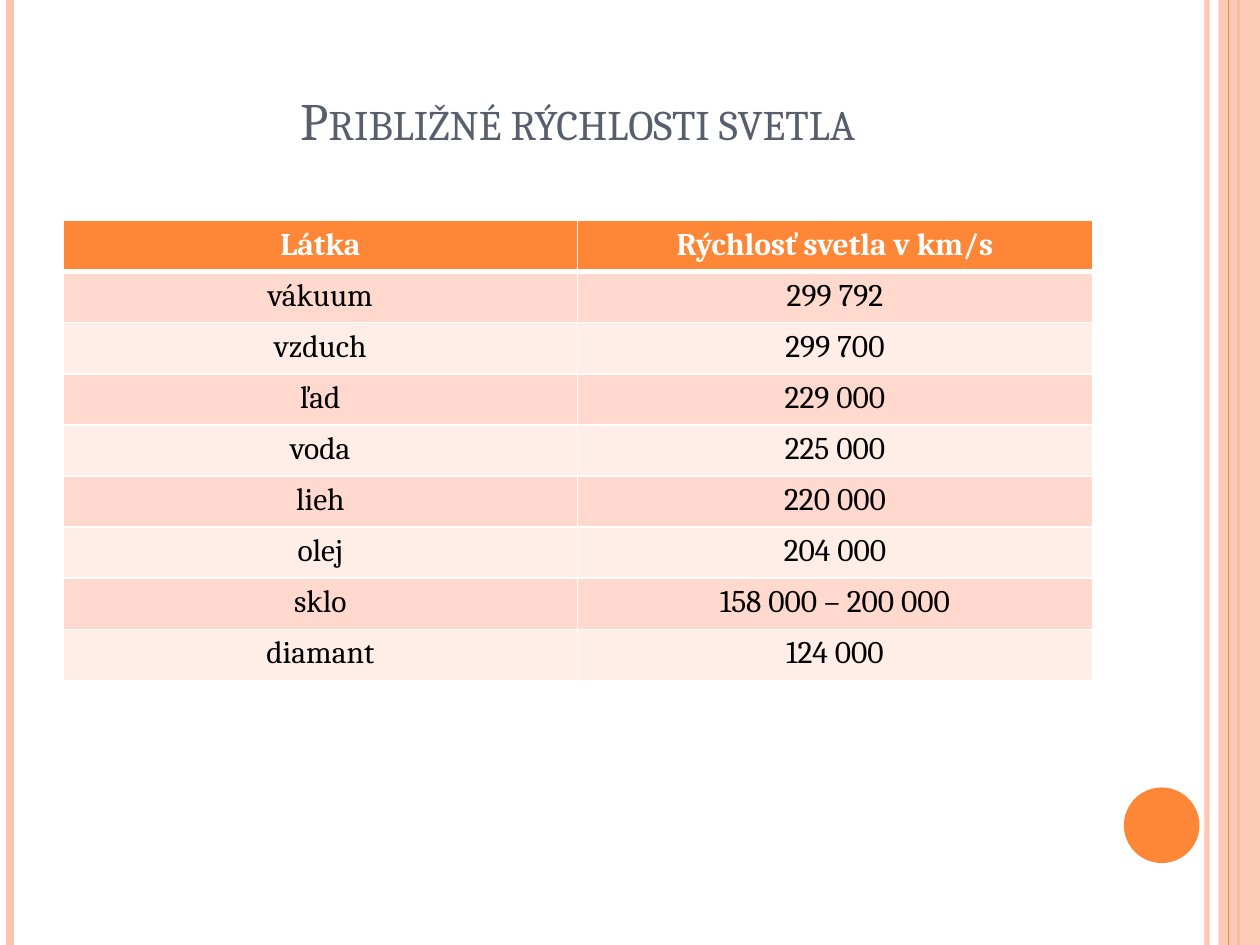
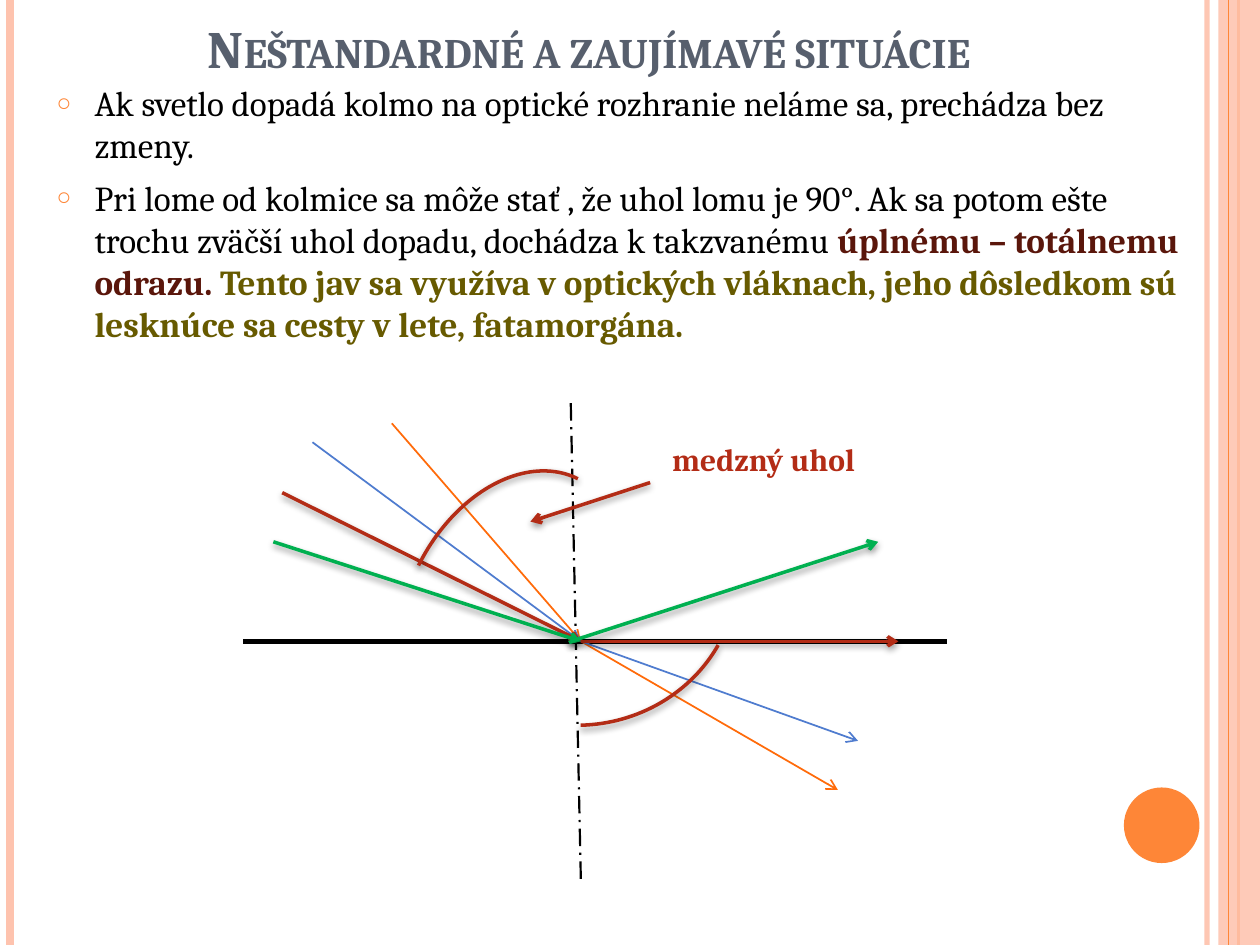
from lxml import etree
from pptx import Presentation
from pptx.dml.color import RGBColor
from pptx.enum.dml import MSO_LINE
from pptx.enum.shapes import MSO_CONNECTOR, MSO_SHAPE
from pptx.enum.text import MSO_ANCHOR, MSO_AUTO_SIZE, PP_ALIGN
from pptx.oxml.ns import qn
from pptx.util import Inches, Pt

STRAIGHT = MSO_CONNECTOR.STRAIGHT
RECTANGLE, OVAL, ARC = MSO_SHAPE.RECTANGLE, MSO_SHAPE.OVAL, MSO_SHAPE.ARC
DASH_DOT = MSO_LINE.LONG_DASH_DOT
BOTTOM, TOP = MSO_ANCHOR.BOTTOM, MSO_ANCHOR.TOP
CENTER, LEFT = PP_ALIGN.CENTER, PP_ALIGN.LEFT
NO_FIT, GROW = MSO_AUTO_SIZE.NONE, MSO_AUTO_SIZE.SHAPE_TO_FIT_TEXT

FONT = "Cambria"
WHITE = RGBColor(0xFF, 0xFF, 0xFF)
BLACK = RGBColor(0x00, 0x00, 0x00)
SLATE = RGBColor(0x57, 0x5F, 0x6D)
ORANGE = RGBColor(0xFE, 0x86, 0x37)
PEACH = RGBColor(0xFE, 0xC3, 0xAE)
ROW_DARK = RGBColor(0xFF, 0xD9, 0xCE)
ROW_LIGHT = RGBColor(0xFF, 0xED, 0xE8)
MAROON = RGBColor(0x5A, 0x16, 0x0B)
OLIVE = RGBColor(0x67, 0x5A, 0x00)
RED = RGBColor(0xB3, 0x2C, 0x16)
GREEN = RGBColor(0x00, 0xB0, 0x50)
BLUE = RGBColor(0x4F, 0x7C, 0xCF)
RAY_ORANGE = RGBColor(0xFF, 0x6B, 0x0A)

SPEEDS = [
    ("Látka", "Rýchlosť svetla v km/s"),
    ("vákuum", "299 792"),
    ("vzduch", "299 700"),
    ("ľad", "229 000"),
    ("voda", "225 000"),
    ("lieh", "220 000"),
    ("olej", "204 000"),
    ("sklo", "158 000 – 200 000"),
    ("diamant", "124 000"),
]

SITUATIONS = [
    [("Ak svetlo dopadá kolmo na optické rozhranie neláme sa, prechádza bez zmeny.", BLACK, False)],
    [("Pri lome od kolmice sa môže stať , že uhol lomu je 90°. Ak sa potom ešte "
      "trochu zväčší uhol dopadu, dochádza k takzvanému ", BLACK, False),
     ("úplnému – totálnemu odrazu. ", MAROON, True),
     ("Tento jav sa využíva v optických vláknach, jeho dôsledkom sú lesknúce sa "
      "cesty v lete, fatamorgána.", OLIVE, True)],
]

# Point where the rays meet the boundary
HIT = (4.61, 5.09)


def add_element(parent, tag, **attributes):
    return etree.SubElement(parent, qn(tag), attributes)


def set_attributes(target, values):
    for name, value in values.items():
        setattr(target, name, value)


def place(shape, left, top, width, height):
    box = {"left": left, "top": top, "width": width, "height": height}
    set_attributes(shape, {name: Inches(value) for name, value in box.items()})


def add_run(paragraph, text, size, color, bold=False):
    run = paragraph.add_run()
    run.text = text
    set_attributes(run.font, {"name": FONT, "size": Pt(size), "bold": bold})
    run.font.color.rgb = color
    return run


def set_alpha(fill, percent):
    """Make a solid fill partly transparent."""
    color = fill._xPr.find(qn("a:solidFill"))[0]
    add_element(color, "a:alpha", val=str(percent * 1000))


def set_effects(shape, shadow):
    """Replace the theme shadow by a soft drop shadow or by nothing."""
    effects = add_element(shape._element.spPr, "a:effectLst")
    if shadow:
        outer = add_element(effects, "a:outerShdw", blurRad=str(Pt(4)), dist=str(Pt(2)),
                            dir="5400000", rotWithShape="0")
        color = add_element(outer, "a:srgbClr", val="000000")
        add_element(color, "a:alpha", val="40000")


def add_line(slide, start, end, color, width, arrow=False, shadow=False, dash=None):
    points = [Inches(value) for value in (*start, *end)]
    connector = slide.shapes.add_connector(STRAIGHT, *points)
    connector.line.color.rgb = color
    connector.line.width = Pt(width)
    if dash:
        connector.line.dash_style = dash
    if arrow:
        add_element(connector.line._get_or_add_ln(), "a:tailEnd", type="arrow")
    set_effects(connector, shadow)
    return connector


def add_filled(slide, kind, box, color):
    shape = slide.shapes.add_shape(kind, *map(Inches, box))
    shape.shadow.inherit = False
    shape.fill.solid()
    shape.fill.fore_color.rgb = color
    shape.line.fill.background()
    return shape


def add_angle_arc(slide, box, rotation, adjustments=()):
    arc = slide.shapes.add_shape(ARC, *map(Inches, box))
    arc.rotation = rotation
    for index, value in enumerate(adjustments):
        arc.adjustments[index] = value
    arc.fill.background()
    arc.line.color.rgb = RED
    arc.line.width = Pt(2)
    set_effects(arc, True)


def add_frame(slide):
    """Side stripes and the disc that every slide carries."""
    stripe = add_line(slide, (9.58, 0), (9.58, 7.5), PEACH, 3)
    set_alpha(stripe.line.fill, 93)
    add_line(slide, (0.08, 0), (0.08, 7.5), PEACH, 4.5)
    add_line(slide, (9.83, 0), (9.83, 7.5), ORANGE, 1.5)
    band = add_filled(slide, RECTANGLE, (9.67, 0, 0.33, 7.5), PEACH)
    set_alpha(band.fill, 87)
    add_line(slide, (9.75, 0), (9.75, 7.5), ORANGE, 0.75)
    add_filled(slide, OVAL, (8.92, 6.25, 0.6, 0.6), ORANGE)


def set_title(slide, text, box, bold=False):
    title = slide.shapes.title
    place(title, *box)
    frame = title.text_frame
    set_attributes(frame, {"auto_size": NO_FIT, "word_wrap": True, "vertical_anchor": BOTTOM})
    paragraph = frame.paragraphs[0]
    paragraph.alignment = CENTER
    run = add_run(paragraph, text, 30, SLATE, bold)
    run.font._element.set("cap", "small")


def add_bullet(paragraph):
    properties = paragraph._p.get_or_add_pPr()
    properties.set("marL", str(Inches(0.3)))
    properties.set("indent", str(-Inches(0.3)))
    color = add_element(properties, "a:buClr")
    add_element(color, "a:srgbClr", val=str(ORANGE))
    add_element(properties, "a:buSzPct", val="70000")
    add_element(properties, "a:buChar", char="○")


def fill_body(slide, items, box):
    body = slide.placeholders[1]
    place(body, *box)
    frame = body.text_frame
    set_attributes(frame, {"auto_size": NO_FIT, "word_wrap": True, "vertical_anchor": TOP})
    for index, runs in enumerate(items):
        paragraph = frame.add_paragraph() if index else frame.paragraphs[0]
        set_attributes(paragraph, {"alignment": LEFT, "space_before": Pt(6 if index else 0)})
        add_bullet(paragraph)
        for text, color, bold in runs:
            add_run(paragraph, text, 20, color, bold)


def set_borders(cell, widths):
    """Draw white borders; they must come before the fill in the cell."""
    properties = cell._tc.get_or_add_tcPr()
    for index, (side, width) in enumerate(widths.items()):
        border = etree.Element(qn(f"a:ln{side}"), w=str(Pt(width)))
        fill = add_element(border, "a:solidFill")
        add_element(fill, "a:srgbClr", val=str(WHITE))
        properties.insert(index, border)


def add_speed_table(slide, rows, box):
    table = slide.shapes.add_table(len(rows), len(rows[0]), *map(Inches, box)).table
    for row_index, row in enumerate(rows):
        header = row_index == 0
        background = ORANGE if header else (ROW_LIGHT, ROW_DARK)[row_index % 2]
        for column_index, text in enumerate(row):
            cell = table.cell(row_index, column_index)
            cell.fill.solid()
            cell.fill.fore_color.rgb = background
            set_borders(cell, {"L": 1, "R": 1, "T": 3 if row_index == 1 else 1,
                               "B": 3 if header else 1})
            paragraph = cell.text_frame.paragraphs[0]
            paragraph.alignment = CENTER
            add_run(paragraph, text, 18, WHITE if header else BLACK, header)


def add_label(slide, text, box):
    frame = slide.shapes.add_textbox(*map(Inches, box)).text_frame
    set_attributes(frame, {"word_wrap": True, "auto_size": GROW})
    paragraph = frame.paragraphs[0]
    paragraph.alignment = CENTER
    add_run(paragraph, text, 18, RED, True)


def add_ray_diagram(slide):
    # Boundary and normal
    add_line(slide, (1.93, 5.09), (7.52, 5.09), BLACK, 3)
    add_line(slide, (4.53, 3.2), (4.61, 6.98), BLACK, 1.25, dash=DASH_DOT)

    # Refracted rays
    for source, target, color in [((3.11, 3.36), (6.65, 6.27), RAY_ORANGE),
                                  ((2.48, 3.51), (6.81, 5.88), BLUE)]:
        add_line(slide, source, HIT, color, 1, arrow=True)
        add_line(slide, HIT, target, color, 1, arrow=True)

    # Critical ray with its angles
    strong = {"width": 2, "arrow": True, "shadow": True}
    add_line(slide, (2.24, 3.91), HIT, RED, **strong)
    add_line(slide, HIT, (7.13, 5.09), RED, **strong)
    add_angle_arc(slide, (2.88, 4.03, 2.36, 1.65), 296.5)
    add_line(slide, (5.16, 3.83), (4.21, 4.14), RED, **strong)
    add_label(slide, "medzný uhol", (4.84, 3.44, 2.44, 0.4))
    add_angle_arc(slide, (3.41, 3.31, 2.38, 2.51), 81.4, (183.25, 4.92))

    # Totally reflected ray
    add_line(slide, (2.17, 4.3), HIT, GREEN, **strong)
    add_line(slide, (4.53, 5.09), (6.97, 4.3), GREEN, **strong)


def add_slide(presentation, layout_index):
    slide = presentation.slides.add_slide(presentation.slide_layouts[layout_index])
    add_frame(slide)
    return slide


def main():
    presentation = Presentation()
    presentation.slide_width = Inches(10)
    presentation.slide_height = Inches(7.5)

    # Speeds of light
    slide = add_slide(presentation, 5)
    set_title(slide, "Približné rýchlosti svetla", (0.5, 0.3, 8.17, 0.95))
    add_speed_table(slide, SPEEDS, (0.5, 1.75, 8.17, 3.65))

    # Total reflection
    slide = add_slide(presentation, 1)
    set_title(slide, "Neštandardné a zaujímavé situácie", (0.59, 0, 8.17, 0.68), bold=True)
    fill_body(slide, SITUATIONS, (0.35, 0.6, 9.21, 6.56))
    add_ray_diagram(slide)

    presentation.save("out.pptx")


if __name__ == "__main__":
    main()
